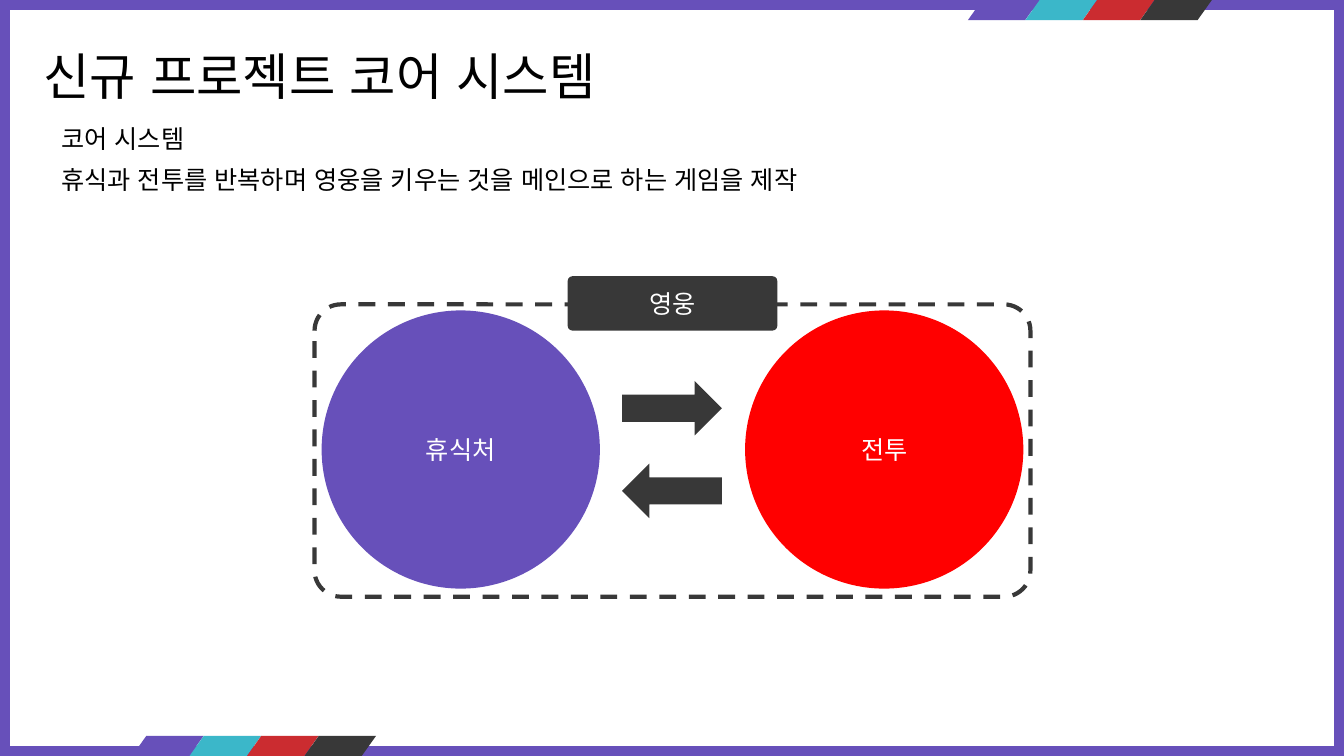
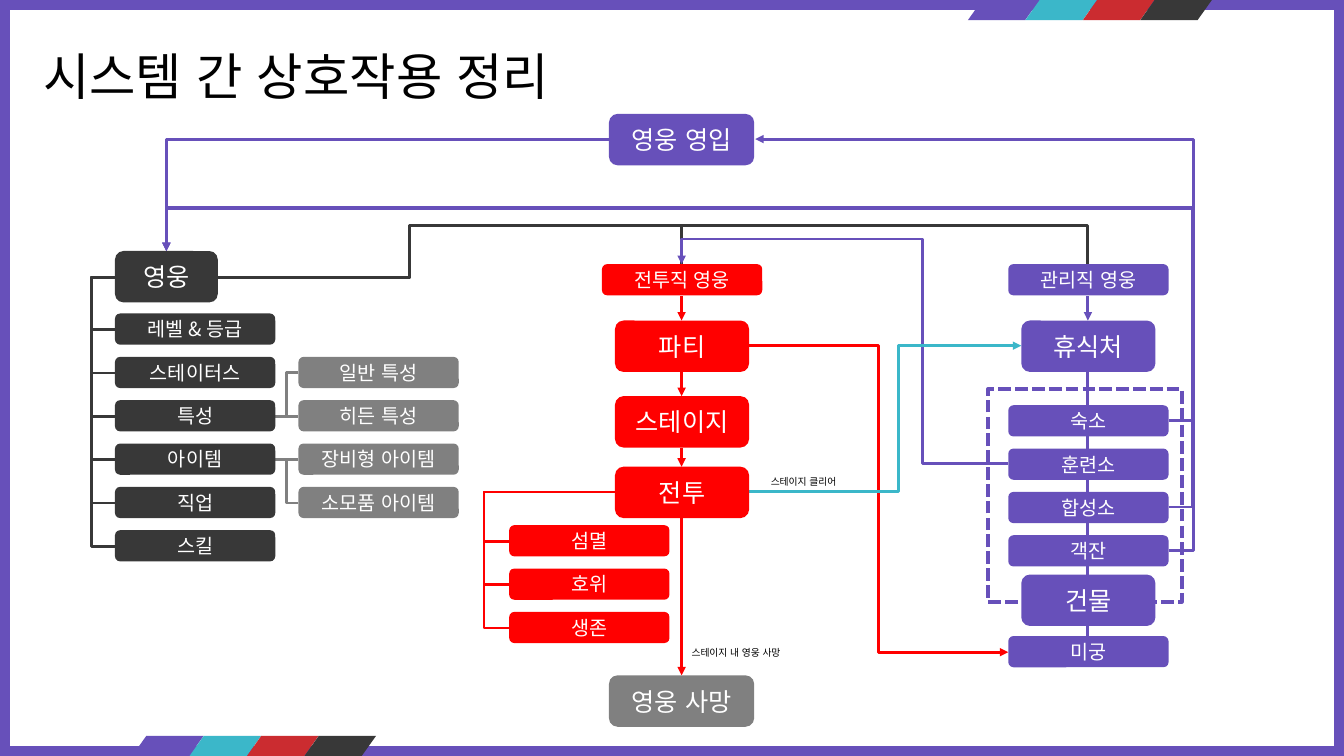
from pptx import Presentation
from pptx.dml.color import RGBColor
from pptx.enum.dml import MSO_LINE
from pptx.enum.lang import MSO_LANGUAGE_ID
from pptx.enum.shapes import MSO_CONNECTOR, MSO_SHAPE
from pptx.enum.text import MSO_ANCHOR, PP_ALIGN
from pptx.oxml.ns import qn
from pptx.util import Pt
from lxml.etree import SubElement

PX = 9144
WIDTH, HEIGHT = 1333, 750
THEME = {
    "font": "Noto Sans CJK KR",
    "purple": "6750BA", "teal": "3BB7C9", "crimson": "CB2C30",
    "dark": "383838", "red": "FF0000", "gray": "808080",
    "white": "FFFFFF", "black": "000000",
    "title": 36, "body": 18, "row": 14, "note": 7,
    "line": 2, "frame": 3,
}
STRIPES = ["purple", "teal", "crimson", "dark"]
STRIPE_STARTS = [(960, 0), (131, 730)]
STRIPE_STEP, STRIPE_W, STRIPE_H = 57, 71, 20

CORE_TITLE = "신규 프로젝트 코어 시스템"
CORE_TEXT = [
    ("코어 시스템", (51, 117, 260, 40)),
    ("휴식과 전투를 반복하며 영웅을 키우는 것을 메인으로 하는 게임을 제작", (51, 158, 1219, 40)),
]
CORE_SHAPES = [
    (MSO_SHAPE.OVAL, (319, 308, 276, 276), "purple", "휴식처"),
    (MSO_SHAPE.OVAL, (739, 308, 276, 276), "red", "전투"),
    (MSO_SHAPE.RIGHT_ARROW, (617, 378, 99, 54), "dark", ""),
    (MSO_SHAPE.LEFT_ARROW, (617, 460, 99, 54), "dark", ""),
]

FLOW_TITLE = "시스템 간 상호작용 정리"
ROW_W, ROW_H, ROW_STEP = 159, 31, 43
COLUMNS = [
    (114, 311, "dark", ["레벨 & 등급", "스테이터스", "특성", "아이템", "직업", "스킬"]),
    (296, 354, "gray", ["일반 특성", "히든 특성", "장비형 아이템", "소모품 아이템"]),
    (505, 521, "red", ["섬멸", "호위", "생존"]),
    (1000, 402, "purple", ["숙소", "훈련소", "합성소", "객잔"]),
    (597, 262, "red", ["전투직 영웅"]),
    (1000, 262, "purple", ["관리직 영웅"]),
    (1000, 631, "purple", ["미궁"]),
]
NODE_H = 51
NODES = [
    (114, 249, 102, "dark", "영웅"),
    (604, 113, 144, "purple", "영웅 영입"),
    (610, 318, 133, "red", "파티"),
    (610, 393, 133, "red", "스테이지"),
    (610, 463, 133, "red", "전투"),
    (604, 670, 144, "gray", "영웅 사망"),
    (1013, 318, 133, "purple", "휴식처"),
    (1013, 570, 133, "purple", "건물"),
]
TREES = [
    ("dark", (115, 275), 90, 114, [327, 370, 413, 456, 499, 542]),
    ("gray", (272, 413), 284, 296, [370, 413]),
    ("gray", (272, 456), 284, 296, [456, 499]),
    ("red", (610, 488), 480, 505, [537, 580, 623]),
]
ROUTES = [
    ("red", True, [(676, 513), (676, 670)]),
    ("purple", False, [(1079, 631), (1079, 368)]),
    ("dark", False, [(216, 275), (406, 275), (406, 224), (676, 224), (676, 262)]),
    ("dark", False, [(216, 275), (407, 275), (407, 224), (1079, 224), (1079, 262)]),
    ("red", True, [(676, 368), (676, 393)]),
    ("purple", True, [(1079, 294), (1079, 318)]),
    ("purple", True, [(1159, 417), (1183, 417), (1183, 207), (165, 207), (165, 249)]),
    ("purple", True, [(1000, 460), (915, 460), (915, 237), (676, 237), (676, 262)]),
    ("purple", True, [(1159, 503), (1183, 503), (1183, 206), (165, 206), (165, 249)]),
    ("purple", True, [(1159, 546), (1184, 546), (1184, 138), (749, 138)]),
    ("purple", True, [(604, 138), (165, 138), (165, 249)]),
    ("red", True, [(743, 343), (871, 343), (871, 647), (1000, 647)]),
    ("red", True, [(676, 444), (676, 463)]),
    ("teal", True, [(743, 488), (891, 488), (891, 343), (1013, 343)]),
    ("red", True, [(676, 294), (676, 318)]),
]
NOTES = [
    ("스테이지 클리어", (747, 467, 100, 22)),
    ("스테이지 내 영웅 사망", (670, 637, 120, 22)),
]


def rgb(name):
    return RGBColor.from_string(THEME[name])


def emu(values):
    return [v * PX for v in values]


def set_text(sp, text, size, color, align):
    tf = sp.text_frame
    tf.word_wrap = True
    p = tf.paragraphs[0]
    p.alignment = align
    r = p.add_run()
    r.text = text
    formats = {
        "name": THEME["font"],
        "size": Pt(THEME[size]),
        "language_id": MSO_LANGUAGE_ID.KOREAN,
    }
    for key, value in formats.items():
        setattr(r.font, key, value)
    r.font.color.rgb = rgb(color)
    r.font._element.set("kern", "0")
    SubElement(r.font._element, qn("a:ea")).set("typeface", THEME["font"])


def add_text(slide, text, box, size="body", align=PP_ALIGN.LEFT):
    set_text(slide.shapes.add_textbox(*emu(box)), text, size, "black", align)


def add_shape(slide, kind, box, fill, text="", size="body"):
    sp = slide.shapes.add_shape(kind, *emu(box))
    sp.shadow.inherit = False
    sp.line.fill.background()
    if fill:
        sp.fill.solid()
        sp.fill.fore_color.rgb = rgb(fill)
    else:
        sp.fill.background()
    if text:
        sp.text_frame.vertical_anchor = MSO_ANCHOR.MIDDLE
        set_text(sp, text, size, "white", PP_ALIGN.CENTER)
    return sp


def add_frame(slide, kind, box, color, dash):
    sp = add_shape(slide, kind, box, None)
    sp.line.color.rgb = rgb(color)
    for key, value in {"width": Pt(THEME["frame"]), "dash_style": dash}.items():
        setattr(sp.line, key, value)
    return sp


def bend(cx, points):
    (x0, y0), (x1, y1) = points[0], points[-1]
    geom = cx._element.spPr.find(qn("a:prstGeom"))
    geom.set("prst", f"bentConnector{len(points) - 1}")
    ratios = []
    if len(points) > 3:
        ratios.append((points[1][0] - x0) / (x1 - x0))
    if len(points) > 4:
        ratios.append((points[2][1] - y0) / (y1 - y0))
    guides = geom.find(qn("a:avLst"))
    for i, ratio in enumerate(ratios, 1):
        gd = SubElement(guides, qn("a:gd"))
        gd.set("name", f"adj{i}")
        gd.set("fmla", f"val {round(ratio * 100000)}")
    if x1 < x0:
        xfrm = cx._element.spPr.find(qn("a:xfrm"))
        for key, value in {"rot": "10800000", "flipH": "0", "flipV": str(int(y1 > y0))}.items():
            xfrm.set(key, value)


def add_route(slide, color, arrow, points):
    kind = MSO_CONNECTOR.ELBOW if len(points) > 2 else MSO_CONNECTOR.STRAIGHT
    cx = slide.shapes.add_connector(kind, *emu(points[0] + points[-1]))
    if len(points) > 2:
        bend(cx, points)
    cx.line.color.rgb = rgb(color)
    cx.line.width = Pt(THEME["line"])
    if arrow:
        SubElement(cx.line._get_or_add_ln(), qn("a:tailEnd")).set("type", "triangle")
    SubElement(cx._element.spPr, qn("a:effectLst"))


def decorate(layout, slide):
    for ph in list(layout.placeholders):
        ph.element.getparent().remove(ph.element)
    layout.background.fill.solid()
    layout.background.fill.fore_color.rgb = rgb("purple")
    parts = [add_shape(slide, MSO_SHAPE.RECTANGLE, (10, 10, WIDTH - 20, HEIGHT - 20), "white")]
    for x, y in STRIPE_STARTS:
        for i, color in enumerate(STRIPES):
            box = (x + i * STRIPE_STEP, y, STRIPE_W, STRIPE_H)
            parts.append(add_shape(slide, MSO_SHAPE.FLOWCHART_DATA, box, color))
    for sp in parts:
        layout.shapes.element.append(sp.element)


def add_title(slide, text):
    add_text(slide, text, (33, 40, 643, 71), "title")


def build_core(slide):
    add_title(slide, CORE_TITLE)
    for text, box in CORE_TEXT:
        add_text(slide, text, box)
    for kind, box, fill, text in CORE_SHAPES:
        add_shape(slide, kind, box, fill, text)
    frame = add_frame(slide, MSO_SHAPE.ROUNDED_RECTANGLE, (312, 302, 710, 290), "dark", MSO_LINE.DASH)
    label = add_shape(slide, MSO_SHAPE.ROUNDED_RECTANGLE, (563, 274, 208, 54), "dark", "영웅")
    for sp in (frame, label):
        sp.adjustments[0] = 0.09


def build_flow(slide):
    add_title(slide, FLOW_TITLE)
    for color, start, trunk, end, rows in TREES:
        for y in rows:
            turns = [(trunk, start[1]), (trunk, y)] if y != start[1] else []
            add_route(slide, color, False, [start, *turns, (end, y)])
    for route in ROUTES:
        add_route(slide, *route)
    add_frame(slide, MSO_SHAPE.RECTANGLE, (980, 386, 192, 211), "purple", MSO_LINE.SQUARE_DOT)
    for x, y, color, labels in COLUMNS:
        for i, text in enumerate(labels):
            box = (x, y + i * ROW_STEP, ROW_W, ROW_H)
            add_shape(slide, MSO_SHAPE.ROUNDED_RECTANGLE, box, color, text, "row")
    for x, y, w, color, text in NODES:
        add_shape(slide, MSO_SHAPE.ROUNDED_RECTANGLE, (x, y, w, NODE_H), color, text)
    for text, box in NOTES:
        add_text(slide, text, box, "note", PP_ALIGN.CENTER)


def main():
    prs = Presentation()
    prs.slide_width, prs.slide_height = emu((WIDTH, HEIGHT))
    layout = prs.slide_layouts[6]
    slides = [prs.slides.add_slide(layout) for _ in range(2)]
    decorate(layout, slides[0])
    for build, slide in zip((build_core, build_flow), slides):
        build(slide)
    prs.save("out.pptx")


if __name__ == "__main__":
    main()
